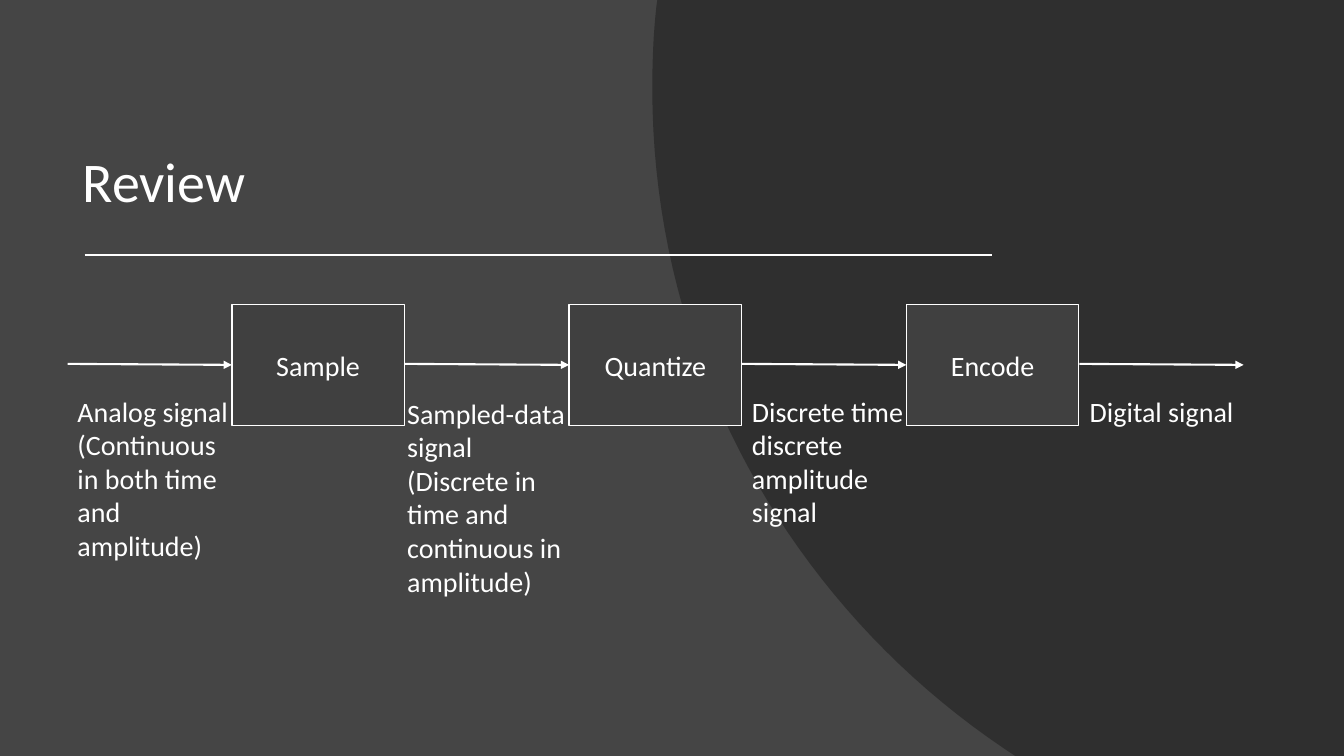
from pptx import Presentation
from pptx.dml.color import RGBColor
from pptx.enum.shapes import MSO_CONNECTOR, MSO_SHAPE
from pptx.enum.text import MSO_ANCHOR, MSO_AUTO_SIZE, PP_ALIGN
from pptx.oxml.ns import qn
from pptx.util import Inches, Pt
from lxml.etree import SubElement

COLORS = {"back": "454545", "curve": "262626", "box": "404040", "white": "FFFFFF"}
STEP = 3.345


def color(name):
    return RGBColor.from_string(COLORS[name])


def write(frame, *lines, size=20, align=PP_ALIGN.LEFT, anchor=MSO_ANCHOR.TOP,
          fit=MSO_AUTO_SIZE.NONE, space=1.0):
    frame.word_wrap = True
    frame.auto_size = fit
    frame.vertical_anchor = anchor
    for i, line in enumerate(lines):
        para = frame.add_paragraph() if i else frame.paragraphs[0]
        para.alignment = align
        para.line_spacing = space
        run = para.add_run()
        run.text = line
        run.font.name = "Calibri"
        run.font.size = Pt(size)
        run.font.color.rgb = color("white")


def bezier(a, b, c, d, count=40):
    for i in range(1, count + 1):
        t = i / count
        u = 1 - t
        yield tuple(u**3 * p + 3 * u * u * t * q + 3 * u * t * t * r + t**3 * s
                    for p, q, r, s in zip(a, b, c, d))


class Deck:
    def __init__(self):
        self.show = Presentation()
        self.show.slide_width = Inches(13.33)
        self.show.slide_height = Inches(7.5)
        self.slide = self.show.slides.add_slide(self.show.slide_layouts[5])
        self.shapes = self.slide.shapes
        fill = self.slide.background.fill
        fill.solid()
        fill.fore_color.rgb = color("back")

    def title(self, text, x, y, w, h):
        title = self.shapes.title
        title.left, title.top, title.width, title.height = map(Inches, (x, y, w, h))
        write(title.text_frame, text, size=40, anchor=MSO_ANCHOR.BOTTOM, space=0.9)

    def curve(self, points, alpha):
        start, *rest = [(Inches(x), Inches(y)) for x, y in points]
        form = self.shapes.build_freeform(*start, scale=1.0)
        form.add_line_segments(rest, close=True)
        shape = form.convert_to_shape()
        shape.shadow.inherit = False
        shape.fill.solid()
        shape.fill.fore_color.rgb = color("curve")
        shape.line.fill.background()
        tint = shape._element.spPr.find(qn("a:solidFill"))[0]
        SubElement(tint, qn("a:alpha")).set("val", str(alpha * 1000))
        self.shapes._spTree.insert(2, shape._element)

    def line(self, x, y, end, drop=0, arrow=False):
        line = self.shapes.add_connector(
            MSO_CONNECTOR.STRAIGHT, *map(Inches, (x, y, end, y + drop)))
        line.line.color.rgb = color("white")
        line.line.width = Pt(1.5)
        if arrow:
            SubElement(line.line._get_or_add_ln(), qn("a:tailEnd")).set("type", "triangle")
        SubElement(line._element.spPr, qn("a:effectLst"))

    def box(self, text, x, y, w, h):
        box = self.shapes.add_shape(MSO_SHAPE.RECTANGLE, *map(Inches, (x, y, w, h)))
        box.shadow.inherit = False
        box.fill.solid()
        box.fill.fore_color.rgb = color("box")
        box.line.color.rgb = color("white")
        box.line.width = Pt(1)
        write(box.text_frame, text, align=PP_ALIGN.CENTER, anchor=MSO_ANCHOR.MIDDLE)

    def label(self, lines, x, y, w, h):
        label = self.shapes.add_textbox(*map(Inches, (x, y, w, h)))
        write(label.text_frame, *lines, fit=MSO_AUTO_SIZE.SHAPE_TO_FIT_TEXT)


def main():
    deck = Deck()
    edge = [(6.52, 0), (13.33, 0), (13.33, 7.5), (10.07, 7.5), (9.95, 7.42)]
    edge += bezier(edge[-1], (7.85, 6), (6.47, 3.6), (6.47, 0.88))
    edge += bezier(edge[-1], (6.47, 0.61), (6.48, 0.34), (6.51, 0.07), 8)
    deck.curve(edge, 70)
    deck.title("Review", 0.72, 0.4, 9.86, 1.78)
    deck.line(0.84, 2.53, 9.84)

    for i, stage in enumerate(("Sample", "Quantize", "Encode")):
        deck.box(stage, 2.3 + i * STEP, 3.02, 1.71, 1.2)
    for i in range(4):
        x = 0.67 + i * STEP
        deck.line(x, 3.61, x + 1.63, drop=0.01, arrow=True)

    signals = [
        (("Analog signal", "(Continuous in both time and amplitude)"),
         0.67, 3.86, 1.7, 2.12),
        (("Sampled-data signal", "(Discrete in time and continuous in amplitude)"),
         3.94, 3.88, 1.77, 2.46),
        (("Discrete time discrete amplitude signal",), 7.36, 3.86, 1.7, 1.45),
        (("Digital signal",), 10.71, 3.86, 1.7, 0.44),
    ]
    for signal in signals:
        deck.label(*signal)
    deck.show.save("out.pptx")


if __name__ == "__main__":
    main()
